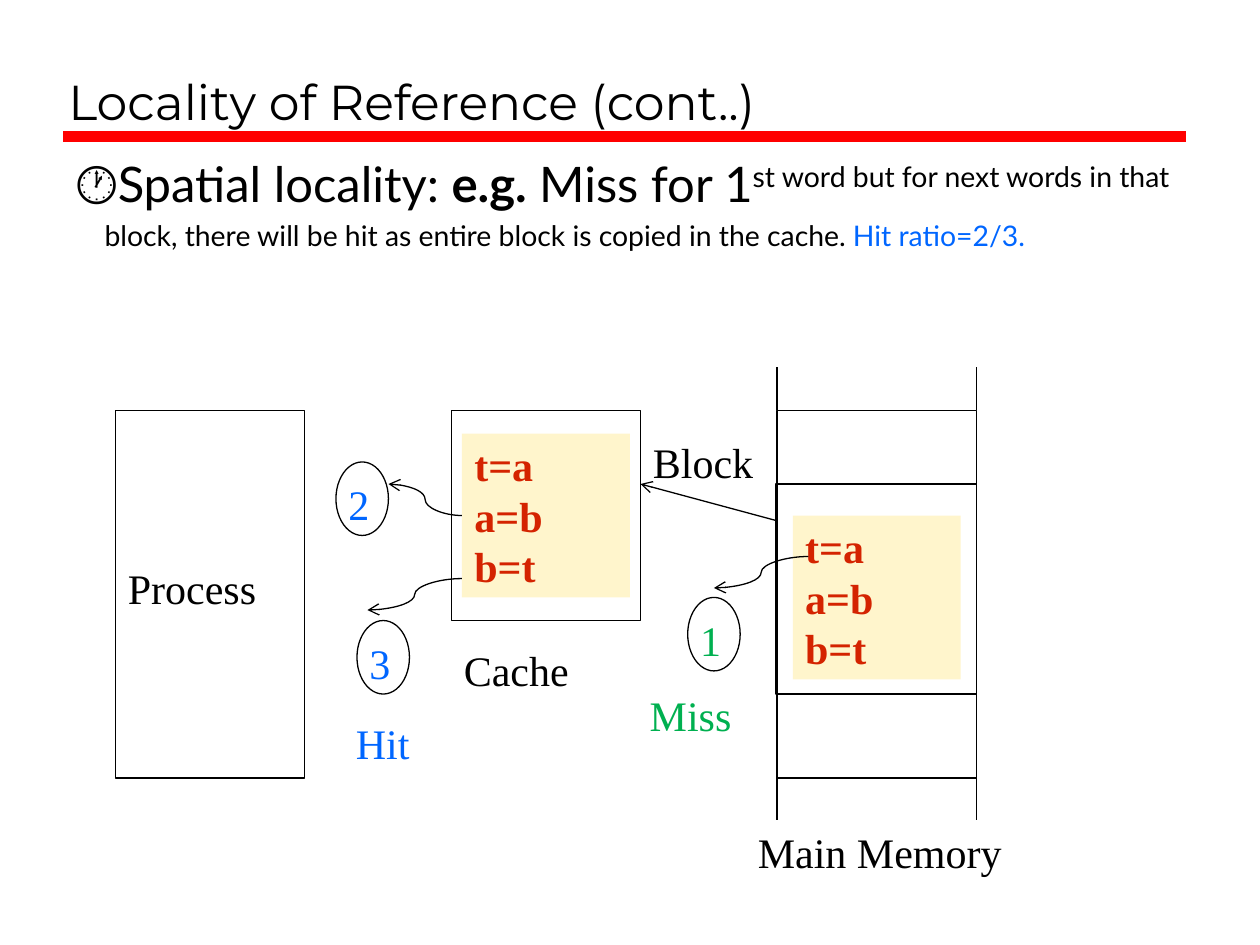
from lxml import etree
from pptx import Presentation
from pptx import util as u
from pptx.dml.color import RGBColor
from pptx.enum import shapes, text
from pptx.oxml.ns import qn

BLACK = RGBColor(0x00, 0x00, 0x00)
RED = RGBColor(0xFF, 0x00, 0x00)
RUST = RGBColor(0xD4, 0x23, 0x00)
CREAM = RGBColor(0xFF, 0xF5, 0xCC)
BLUE = RGBColor(0x00, 0x66, 0xFF)
GREEN = RGBColor(0x00, 0xB0, 0x50)

HEAD = {"name": "Montserrat", "size": u.Pt(28)}
BODY = {"name": "Lato", "size": u.Pt(28)}
LABEL = {"name": "Times New Roman", "size": u.Pt(24)}
CODE = {**LABEL, "bold": True}
BOX, OVAL = shapes.MSO_SHAPE.RECTANGLE, shapes.MSO_SHAPE.OVAL

# The grid has 120 columns and 90 rows of a twelfth of an inch
CELL = u.Inches(1) / 12


def grid(*cells):
    return [u.Emu(round(n * CELL)) for n in cells]


def style(font, form, color):
    for key, val in form.items():
        setattr(font, key, val)
    font.color.rgb = color


def write(frame, lines, form, color):
    """Put left-aligned lines of one format into a text frame."""
    frame.word_wrap = True
    frame.text = "\n".join(lines)
    for para in frame.paragraphs:
        para.alignment = text.PP_ALIGN.LEFT
        for run in para.runs:
            style(run.font, form, color)


def shape(slide, kind, area, fill=None):
    """Outlined shape, or a filled one without a line."""
    item = slide.shapes.add_shape(kind, *grid(*area))
    item.shadow.inherit = False
    if fill is None:
        item.fill.background()
        item.line.color.rgb = BLACK
        item.line.width = u.Pt(0.75)
    else:
        item.fill.solid()
        item.fill.fore_color.rgb = fill
        item.line.fill.background()
    return item


def label(slide, area, words, color=BLACK):
    box = slide.shapes.add_textbox(*grid(*area))
    write(box.text_frame, [words], LABEL, color)


def code(slide, col, row):
    """Cream panel with the three statements."""
    item = shape(slide, BOX, (col, row, 16, 15.6), CREAM)
    item.text_frame.vertical_anchor = text.MSO_ANCHOR.TOP
    write(item.text_frame, ["t=a", "a=b", "b=t"], CODE, RUST)


def step(slide, col, row, num, color):
    """Numbered oval."""
    shape(slide, OVAL, (col, row, 5, 7))
    label(slide, (col, row + 1, 5, 6), num, color)


def line(slide, ends, color=BLACK, width=0.75, curve=False, arrow=False):
    kinds = shapes.MSO_CONNECTOR
    kind = kinds.CURVE if curve else kinds.STRAIGHT
    link = slide.shapes.add_connector(kind, *grid(*ends))
    link.line.color.rgb = color
    link.line.width = u.Pt(width)
    if arrow:
        tip = etree.SubElement(link.line._get_or_add_ln(), qn("a:tailEnd"))
        tip.set("type", "arrow")
    etree.SubElement(link._element.spPr, qn("a:effectLst"))


def place(item, area):
    item.left, item.top, item.width, item.height = grid(*area)
    item.text_frame.auto_size = text.MSO_AUTO_SIZE.NONE


def title(slide, words):
    item = slide.shapes.title
    place(item, (5.3, 2, 107.7, 11))
    write(item.text_frame, [words], HEAD, BLACK)
    item.text_frame.vertical_anchor = text.MSO_ANCHOR.BOTTOM


def bullet(slide, parts):
    """Body list with one clock bullet and mixed runs."""
    item = slide.placeholders[1]
    place(item, (6, 14, 110, 74))
    para = item.text_frame.paragraphs[0]
    props = para._p.get_or_add_pPr()
    props.set("marL", str(u.Inches(0.23)))
    props.set("indent", str(-u.Inches(0.23)))
    etree.SubElement(props, qn("a:buChar")).set("char", "🕐")
    for words, bold, raised, color in parts:
        run = para.add_run()
        run.text = words
        style(run.font, {**BODY, "bold": bold}, color)
        if raised:
            run._r.get_or_add_rPr().set("baseline", "30000")


def main():
    deck = Presentation()
    deck.slide_width, deck.slide_height = u.Inches(10), u.Inches(7.5)
    slide = deck.slides.add_slide(deck.slide_layouts[1])

    # Heading and explanation
    line(slide, (6, 13, 113, 13), RED, 6)
    title(slide, "Locality of Reference (cont..)")
    bullet(slide, [
        ("Spatial locality: ", False, False, BLACK),
        ("e.g.", True, False, BLACK),
        (" Miss for 1", False, False, BLACK),
        ("st word but for next words in that block, there will be hit "
         "as entire block is copied in the cache. ", False, True, BLACK),
        ("Hit ratio=2/3.", False, True, BLUE),
    ])

    # Process, cache, memory and the block inside it
    for area in ((11, 39.1, 18, 35), (43, 39.1, 18, 20),
                 (74, 39.1, 19, 35), (73.9, 46.1, 19.1, 20)):
        shape(slide, BOX, area)
    for col in (74, 93):
        for row in (35, 74.1):
            line(slide, (col, row, col, row + 4))
    code(slide, 44, 41.3)
    code(slide, 75.5, 49.1)

    # Arrows
    line(slide, (74, 49.6, 61, 46.1), arrow=True)
    for ends in ((44, 49.1, 37, 46.1), (44, 55.1, 35, 58.1),
                 (77, 53, 68, 56)):
        line(slide, ends, curve=True, arrow=True)

    # Numbered steps
    step(slide, 32, 44, "2", BLUE)
    step(slide, 34, 59.1, "3", BLUE)
    step(slide, 65.5, 56.9, "1", GREEN)

    # Labels
    for col, row, wide, words, color in (
            (11, 53, 16, "Process", BLACK),
            (43, 60.8, 18, "Cache", BLACK),
            (71, 78.1, 26, "Main Memory", BLACK),
            (61, 41, 14.5, "Block", BLACK),
            (32.7, 67.7, 14.5, "Hit", BLUE),
            (60.7, 65.1, 14.5, "Miss", GREEN)):
        label(slide, (col, row, wide, 6), words, color)

    deck.save("out.pptx")


if __name__ == "__main__":
    main()
